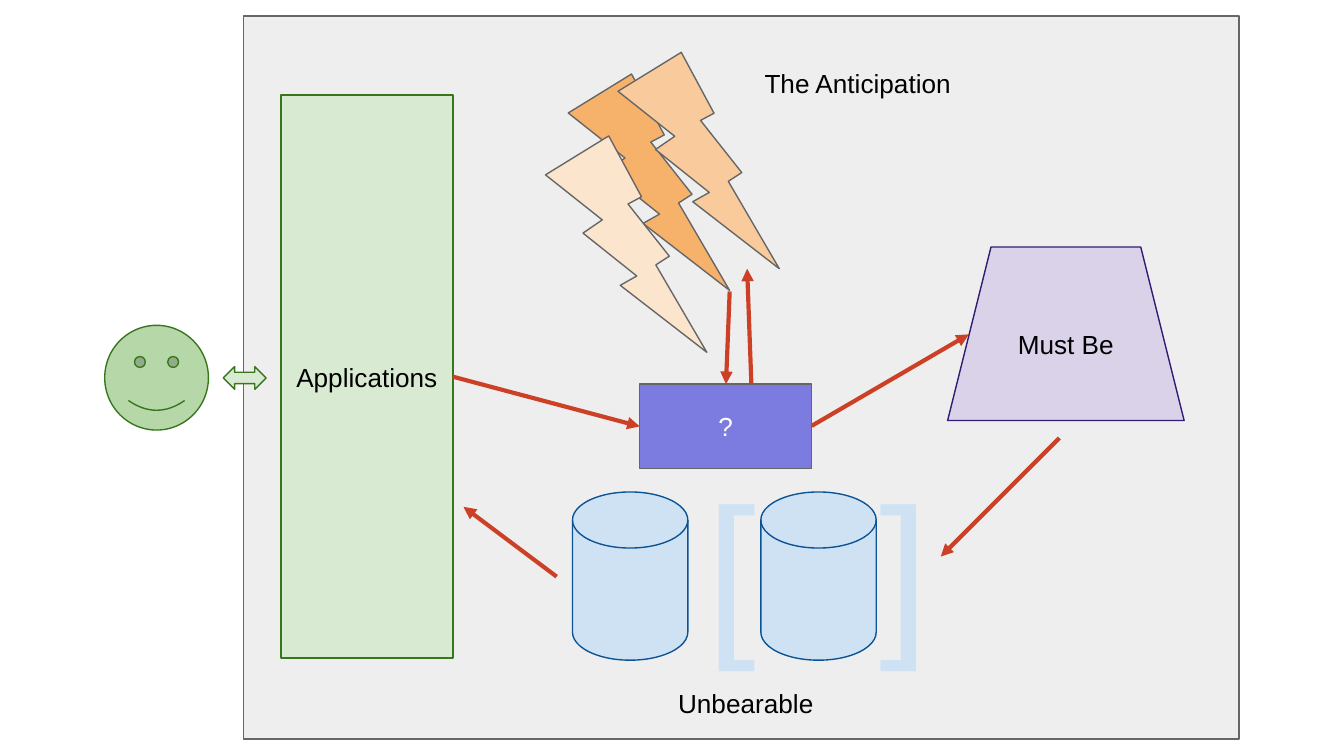
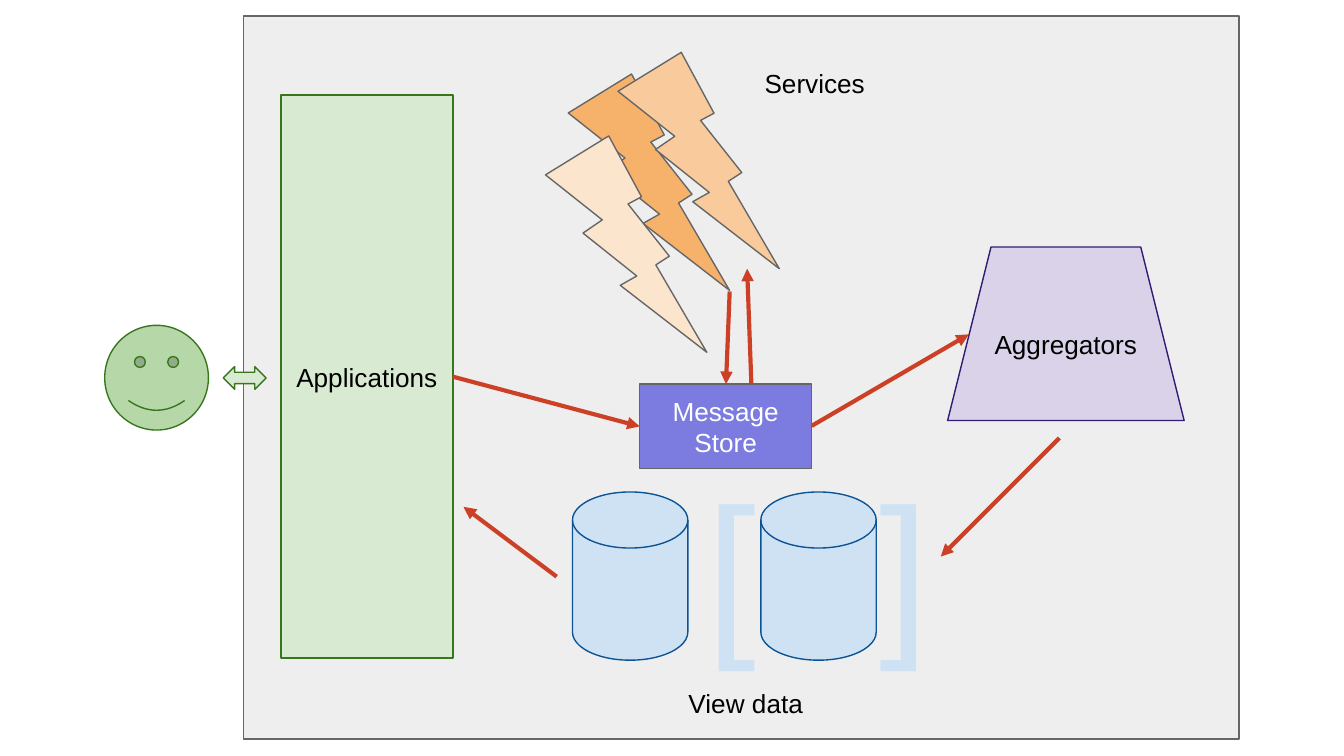
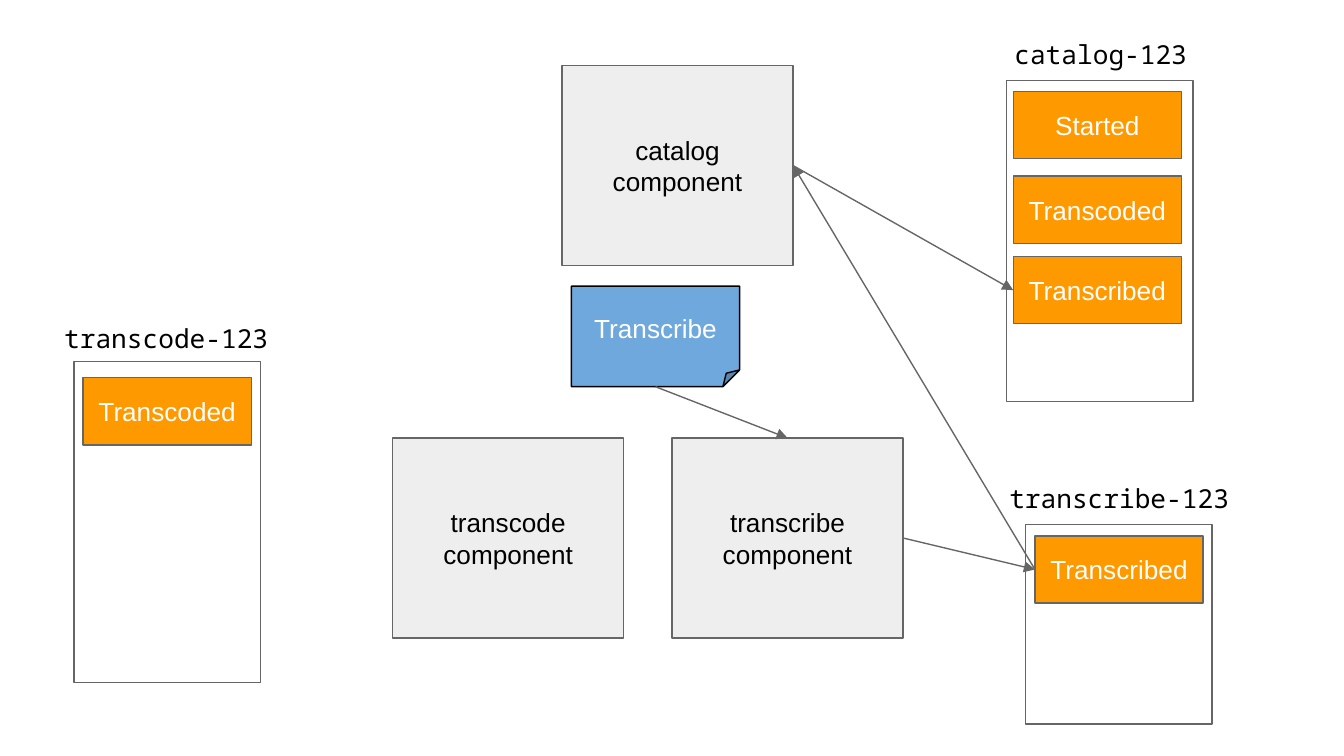
"""Build three slides on message-driven architecture."""
from lxml import etree
from pptx import Presentation
from pptx.dml.color import RGBColor
from pptx.enum.shapes import MSO_CONNECTOR, MSO_SHAPE
from pptx.enum.text import MSO_ANCHOR, PP_ALIGN
from pptx.oxml.ns import qn
from pptx.util import Cm, Pt

RECT = MSO_SHAPE.RECTANGLE
DISK = MSO_SHAPE.FLOWCHART_MAGNETIC_DISK
BOLT = MSO_SHAPE.LIGHTNING_BOLT
TRAPEZOID = MSO_SHAPE.TRAPEZOID
SMILEY = MSO_SHAPE.SMILEY_FACE
TWO_WAY = MSO_SHAPE.LEFT_RIGHT_ARROW
NOTE = MSO_SHAPE.FOLDED_CORNER
STRAIGHT = MSO_CONNECTOR.STRAIGHT
LEFT, CENTER = PP_ALIGN.LEFT, PP_ALIGN.CENTER
TOP, MIDDLE = MSO_ANCHOR.TOP, MSO_ANCHOR.MIDDLE
AT_TOP, AT_LEFT, AT_BOTTOM, AT_RIGHT = range(4)

FONT, MONO = "Arial", "Noto Sans Mono"
COLORS = {
    "black": "000000", "white": "FFFFFF", "panel": "EEEEEE", "gray": "666666",
    "app": "D9EAD3", "face": "B6D7A8", "green": "38761D",
    "data": "CFE2F3", "navy": "0B5394", "aggregator": "D9D2E9", "purple": "351C75",
    "store": "7C7CE0", "red": "CC4125", "event": "FF9900", "command": "6FA8DC",
    "bolt_dark": "F6B26B", "bolt_pale": "FCE5CD", "bolt_mid": "F9CB9C",
}


def rgb(name):
    """Return the palette colour with this name."""
    return RGBColor.from_string(COLORS[name])


def write(sp, text, size=14, font=FONT, color="black", align=CENTER, anchor=MIDDLE):
    """Put formatted text into a shape."""
    tf = sp.text_frame
    tf.word_wrap = True
    tf.vertical_anchor = anchor
    tf.margin_left = tf.margin_right = tf.margin_top = tf.margin_bottom = Cm(0.25)
    p = tf.paragraphs[0]
    p.alignment = align
    r = p.add_run()
    r.text = text
    r.font.size = Pt(size)
    r.font.name = font
    r.font.color.rgb = rgb(color)


def add_label(s, text, box, **fmt):
    """Add a text box to a slide or group."""
    sp = s.shapes.add_textbox(*map(Cm, box))
    write(sp, text, **fmt)


def add_box(s, kind, box, fill, line="gray", text="", **fmt):
    """Add a filled and outlined preset shape to a slide or group."""
    sp = s.shapes.add_shape(kind, *map(Cm, box))
    sp.shadow.inherit = False
    sp.fill.solid()
    sp.fill.fore_color.rgb = rgb(fill)
    sp.line.color.rgb = rgb(line)
    sp.line.width = Pt(0.75)
    if text:
        write(sp, text, **fmt)
    return sp


def add_arrow(s, start=(0, 0), end=(0, 0), color="red", width=2.25):
    """Add a straight arrow between two points."""
    c = s.shapes.add_connector(STRAIGHT, *map(Cm, (*start, *end)))
    c.line.color.rgb = rgb(color)
    c.line.width = Pt(width)
    etree.SubElement(c.line._get_or_add_ln(), qn("a:tailEnd"), type="triangle")
    etree.SubElement(c._element.spPr, qn("a:effectLst"))
    return c


def add_link(s, source, source_side, target, target_side, **fmt):
    """Add an arrow attached to two shapes."""
    c = add_arrow(s, **fmt)
    c.begin_connect(source, source_side)
    c.end_connect(target, target_side)


def add_view_data(s, caption):
    """Add the data stores, the second one in brackets, and their caption."""
    group = s.shapes.add_group_shape()
    for x in (10.82, 14.38):
        add_box(group, DISK, (x, 9.3, 2.18, 3.18), "data", "navy")
    for text, x, height in (("[", 13.11, 4.93), ("]", 16.38, 4.11)):
        add_label(group, text, (x, 8.36, 0.74, height), size=96, color="data",
                  align=LEFT, anchor=TOP)
    add_label(s, caption, (10.82, 12.9, 6.55, 0.79))


def add_services(s, caption):
    """Add the three service bolts and their caption."""
    group = s.shapes.add_group_shape()
    for x, y, fill in ((10.74, 1.4, "bolt_dark"), (10.31, 2.57, "bolt_pale"),
                       (11.68, 0.99, "bolt_mid")):
        add_box(group, BOLT, (x, y, 3.05, 4.09), fill)
    add_label(group, caption, (14.2, 1.02, 4.67, 1.17), align=LEFT, anchor=TOP)


def add_architecture(s, services, store, aggregators, data):
    """Draw the architecture with the given part names."""
    add_box(s, RECT, (4.6, 0.3, 18.82, 13.67), "panel")
    apps = add_box(s, RECT, (5.31, 1.8, 3.25, 10.64), "app", "green", "Applications")
    add_view_data(s, data)
    add_box(s, SMILEY, (1.98, 6.15, 1.96, 1.98), "face", "green")
    add_box(s, TWO_WAY, (4.22, 6.93, 0.81, 0.43), "app", "green")
    add_box(s, TRAPEZOID, (17.91, 4.67, 4.47, 3.28), "aggregator", "purple", aggregators)
    add_services(s, services)
    hub = add_box(s, RECT, (12.09, 7.26, 3.25, 1.6), "store", text=store, color="white")
    add_link(s, apps, AT_RIGHT, hub, AT_LEFT)
    for start, end in (((10.52, 10.9), (8.76, 9.58)),
                       ((15.34, 8.05), (18.31, 6.32)),
                       ((20.02, 8.28), (17.78, 10.52)),
                       ((13.79, 5.51), (13.72, 7.26)),
                       ((14.2, 7.26), (14.12, 5.08))):
        add_arrow(s, start, end)


def add_component(s, name, x, y):
    """Add a component box."""
    return add_box(s, RECT, (x, y, 4.37, 3.78), "panel", text=f"{name} component")


def add_stream(s, name, box, label_box):
    """Add an empty event stream with its name above."""
    add_box(s, RECT, box, "white")
    add_label(s, name, label_box, font=MONO, anchor=TOP)


def add_event(s, name, x, y):
    """Add an event box."""
    return add_box(s, RECT, (x, y, 3.18, 1.27), "event", text=name, color="white")


def add_message_flow(s):
    """Draw components, their streams and the messages between them."""
    catalog = add_component(s, "catalog", 10.62, 1.24)
    add_component(s, "transcode", 7.42, 8.28)
    transcribe = add_component(s, "transcribe", 12.7, 8.28)

    add_stream(s, "catalog-123", (19.02, 1.52, 3.53, 6.07), (18.8, 0.48, 4.01, 0.58))
    add_stream(s, "transcode-123", (1.4, 6.83, 3.53, 6.07), (0.81, 5.84, 4.67, 0.58))
    add_stream(s, "transcribe-123", (19.38, 9.91, 3.53, 3.78), (18.82, 8.86, 4.67, 0.58))

    add_event(s, "Started", 19.15, 1.73)
    add_event(s, "Transcoded", 19.15, 3.33)
    recorded = add_event(s, "Transcribed", 19.15, 4.85)
    add_event(s, "Transcoded", 1.57, 7.14)
    transcribed = add_event(s, "Transcribed", 19.56, 10.13)
    command = add_box(s, NOTE, (10.8, 5.41, 3.18, 1.9), "command", "black",
                      "Transcribe", color="white")

    for link in ((command, AT_BOTTOM, transcribe, AT_TOP),
                 (transcribe, AT_RIGHT, transcribed, AT_LEFT),
                 (transcribed, AT_LEFT, catalog, AT_RIGHT),
                 (catalog, AT_RIGHT, recorded, AT_LEFT)):
        add_link(s, *link, color="gray", width=0.75)


def main():
    """Build and save the presentation."""
    prs = Presentation()
    prs.slide_width, prs.slide_height = Cm(25.4), Cm(14.29)
    blank = prs.slide_layouts[6]
    for names in (("The Anticipation", "?", "Must Be", "Unbearable"),
                  ("Services", "Message Store", "Aggregators", "View data")):
        add_architecture(prs.slides.add_slide(blank), *names)
    add_message_flow(prs.slides.add_slide(blank))
    prs.save("out.pptx")


if __name__ == "__main__":
    main()
